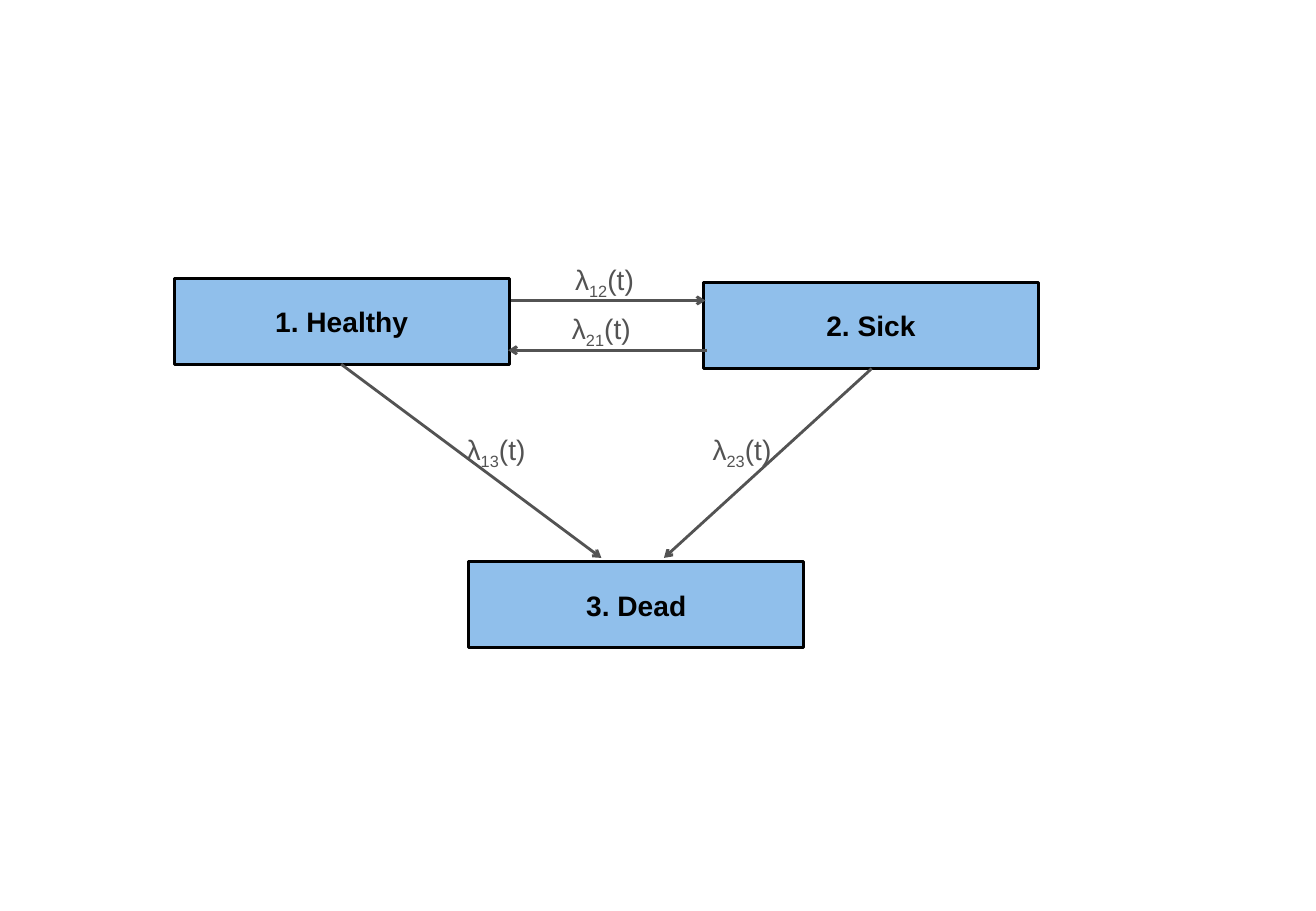
from pptx import Presentation
from pptx.dml.color import RGBColor
from pptx.enum.shapes import MSO_CONNECTOR, MSO_SHAPE
from pptx.enum.text import MSO_ANCHOR, PP_ALIGN
from pptx.oxml.ns import qn
from pptx.util import Cm, Pt
from lxml.etree import SubElement

STATE_BLUE = RGBColor(0x90, 0xBF, 0xEB)
BLACK = RGBColor(0x00, 0x00, 0x00)
GREY = RGBColor(0x53, 0x53, 0x53)

STATE_WIDTH, STATE_HEIGHT = Cm(8.41), Cm(2.16)
RATE_WIDTH, RATE_HEIGHT = Cm(1.57), Cm(0.71)
LINE_WIDTH = Pt(2)

# name, left, top
STATES = [
    ("1. Healthy", 4.37, 6.99),
    ("3. Dead", 11.76, 14.1),
    ("2. Sick", 17.65, 7.09),
]
# states from and to, arrow start, arrow end, top left of the rate
TRANSITIONS = [
    ("12", (12.83, 7.54), (17.7, 7.54), (14.43, 6.58)),
    ("21", (17.73, 8.79), (12.75, 8.79), (14.35, 7.82)),
    ("23", (21.87, 9.25), (16.66, 14), (17.88, 10.85)),
    ("13", (8.56, 9.14), (15.09, 14), (11.71, 10.85)),
]


def clear_margins(frame):
    frame.margin_left = frame.margin_right = 0
    frame.margin_top = frame.margin_bottom = 0


def add_run(paragraph, text, color, bold=False):
    run = paragraph.add_run()
    run.text = text
    run.font.name = "Arial"
    run.font.size = Pt(20)
    run.font.bold = bold
    run.font.color.rgb = color
    return run


def add_state(slide, name, left, top):
    state = slide.shapes.add_shape(
        MSO_SHAPE.RECTANGLE, Cm(left), Cm(top), STATE_WIDTH, STATE_HEIGHT)
    state.shadow.inherit = False
    state.fill.solid()
    state.fill.fore_color.rgb = STATE_BLUE
    state.line.color.rgb = BLACK
    state.line.width = LINE_WIDTH
    frame = state.text_frame
    clear_margins(frame)
    frame.word_wrap = False
    frame.vertical_anchor = MSO_ANCHOR.MIDDLE
    paragraph = frame.paragraphs[0]
    paragraph.alignment = PP_ALIGN.CENTER
    add_run(paragraph, name, BLACK, bold=True)


def add_arrow(slide, start, end):
    points = [Cm(value) for value in (*start, *end)]
    arrow = slide.shapes.add_connector(MSO_CONNECTOR.STRAIGHT, *points)
    arrow.line.color.rgb = GREY
    arrow.line.width = LINE_WIDTH
    SubElement(arrow.line._get_or_add_ln(), qn("a:tailEnd"), type="arrow")
    SubElement(arrow._element.spPr, qn("a:effectLst"))


def add_rate(slide, subscript, left, top):
    """Label a transition with its intensity λ, indexed by the two states."""
    rate = slide.shapes.add_textbox(Cm(left), Cm(top), RATE_WIDTH, RATE_HEIGHT)
    frame = rate.text_frame
    clear_margins(frame)
    frame.word_wrap = True
    paragraph = frame.paragraphs[0]
    add_run(paragraph, "λ", GREY)
    index = add_run(paragraph, subscript, GREY)
    index.font._element.set("baseline", "-25000")
    add_run(paragraph, "(t)", GREY)


def main():
    presentation = Presentation()
    presentation.slide_width = Cm(33.02)
    presentation.slide_height = Cm(22.86)
    slide = presentation.slides.add_slide(presentation.slide_layouts[6])

    for name, left, top in STATES:
        add_state(slide, name, left, top)
    for _, start, end, _ in TRANSITIONS:
        add_arrow(slide, start, end)
    for subscript, _, _, position in TRANSITIONS:
        add_rate(slide, subscript, *position)

    presentation.save("out.pptx")


if __name__ == "__main__":
    main()
